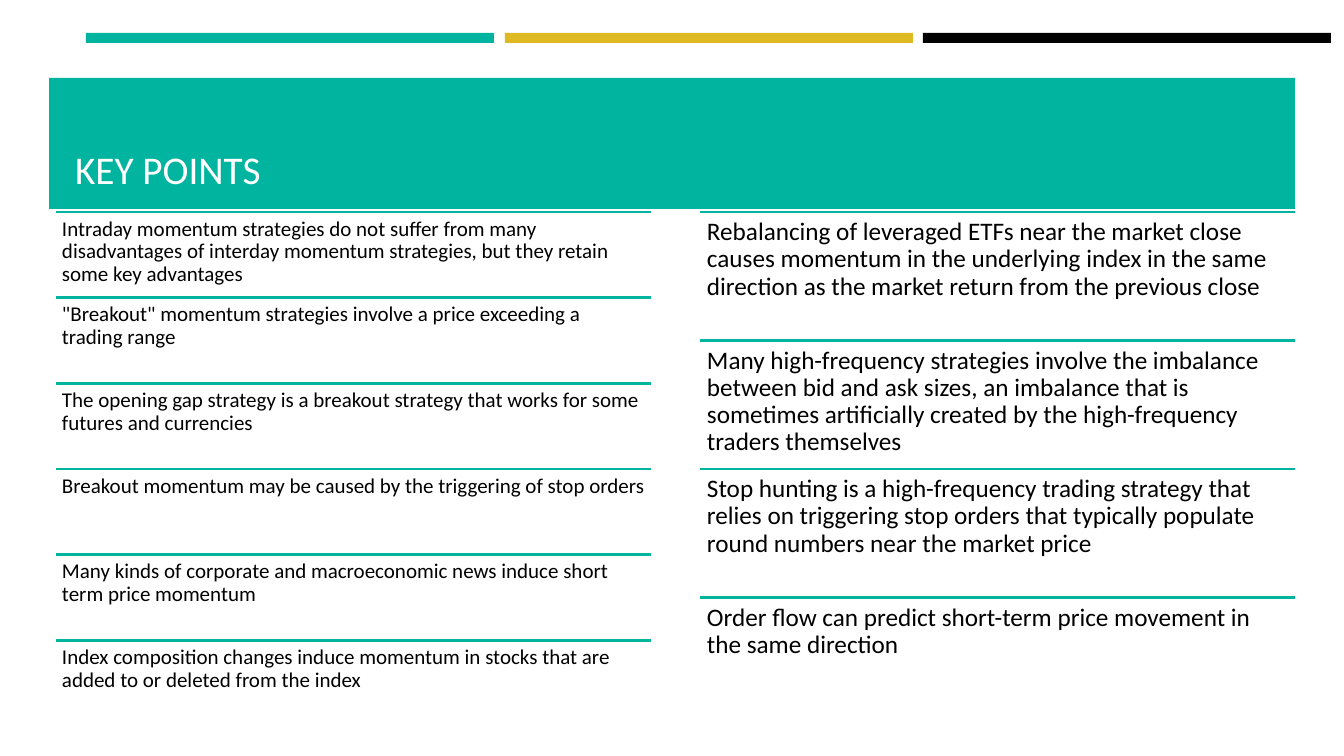
"""Build the Key Points slide with two ruled columns of statements."""
from dataclasses import dataclass

from lxml.etree import SubElement
from pptx import Presentation
from pptx.dml.color import RGBColor
from pptx.enum.shapes import MSO_CONNECTOR as Connector, MSO_SHAPE as Shape
from pptx.enum.text import MSO_ANCHOR as Anchor, MSO_AUTO_SIZE as AutoSize, PP_ALIGN as Align
from pptx.oxml.ns import qn
from pptx.util import Emu, Pt

TEAL = RGBColor(0x00, 0xB4, 0x9F)
GOLD = RGBColor(0xDE, 0xB9, 0x22)
BLACK = RGBColor(0x00, 0x00, 0x00)
WHITE = RGBColor(0xFF, 0xFF, 0xFF)
FONT = "Calibri"
EMU_PER_PIXEL = 914400 / 100.8
COLUMN_TOP, COLUMN_WIDTH, COLUMN_HEIGHT = 212, 595, 514


def px(length: float) -> Emu:
    """Convert pixels to EMU."""
    return Emu(round(length * EMU_PER_PIXEL))


@dataclass(frozen=True)
class Bar:
    """A plain filled rectangle."""
    left: int
    top: int
    width: int
    height: int
    color: RGBColor


@dataclass(frozen=True)
class Column:
    """Statements sharing the column height equally."""
    left: int
    size: int
    inset: int
    statements: tuple[str, ...]


BARS = (
    Bar(86, 33, 408, 10, TEAL),
    Bar(923, 33, 408, 10, BLACK),
    Bar(505, 33, 408, 10, GOLD),
    Bar(49, 78, 1246, 131, TEAL),
)
COLUMNS = (
    Column(56, 15, 6, (
        "Intraday momentum strategies do not suffer from many disadvantages of interday "
        "momentum strategies, but they retain some key advantages",
        '"Breakout" momentum strategies involve a price exceeding a trading range',
        "The opening gap strategy is a breakout strategy that works for some futures and currencies",
        "Breakout momentum may be caused by the triggering of stop orders",
        "Many kinds of corporate and macroeconomic news induce short term price momentum",
        "Index composition changes induce momentum in stocks that are added to or deleted "
        "from the index",
    )),
    Column(700, 18, 7, (
        "Rebalancing of leveraged ETFs near the market close causes momentum in the underlying "
        "index in the same direction as the market return from the previous close",
        "Many\u00a0high-frequency strategies involve the imbalance between bid and ask sizes, an "
        "imbalance that is sometimes artificially created by the high-frequency traders themselves",
        "Stop hunting is a high-frequency trading strategy that relies on triggering stop orders "
        "that typically populate round numbers near the market price",
        "Order flow can predict short-term price movement in the same direction",
    )),
)


def style_text(frame, size: int, color: RGBColor) -> None:
    """Apply the slide font to every run of a text frame."""
    for para in frame.paragraphs:
        para.alignment = Align.LEFT
        for span in para.runs:
            span.font.name = FONT
            span.font.size = Pt(size)
            span.font.color.rgb = color


def draw_bar(page, bar: Bar) -> None:
    """Draw one filled bar without outline."""
    shape = page.shapes.add_shape(
        Shape.RECTANGLE, px(bar.left), px(bar.top), px(bar.width), px(bar.height))
    shape.shadow.inherit = False
    shape.fill.solid()
    shape.fill.fore_color.rgb = bar.color
    shape.line.fill.background()


def draw_title(page, text: str) -> None:
    """Place the title in front of the teal band."""
    title = page.shapes.title
    title.left, title.top, title.width, title.height = px(65), px(89), px(1216), px(109)
    frame = title.text_frame
    frame.text = text
    frame.auto_size = AutoSize.NONE
    frame.vertical_anchor = Anchor.BOTTOM
    style_text(frame, 28, WHITE)
    frame.paragraphs[0].line_spacing = 0.9
    page.shapes[-1].element.addnext(title.element)


def draw_rule(page, left: int, top: float) -> None:
    """Draw the teal rule above a statement."""
    rule = page.shapes.add_connector(
        Connector.STRAIGHT, px(left), px(top), px(left + COLUMN_WIDTH), px(top))
    rule.line.color.rgb = TEAL
    rule.line.width = Pt(1.75)
    SubElement(rule.element.spPr, qn("a:effectLst"))


def draw_column(page, column: Column) -> None:
    """Draw the ruled statements of one column."""
    pitch = COLUMN_HEIGHT / len(column.statements)
    for index, statement in enumerate(column.statements):
        top = COLUMN_TOP + index * pitch
        draw_rule(page, column.left, top)
        box = page.shapes.add_textbox(px(column.left), px(top), px(COLUMN_WIDTH), px(pitch))
        frame = box.text_frame
        frame.word_wrap = True
        frame.margin_left = frame.margin_right = px(column.inset)
        frame.margin_top = frame.margin_bottom = px(column.inset)
        frame.text = statement
        frame.paragraphs[0].line_spacing = 0.9
        style_text(frame, column.size, BLACK)


def main() -> None:
    """Assemble and save the slide."""
    deck = Presentation()
    deck.slide_width, deck.slide_height = px(1344), px(756)
    page = deck.slides.add_slide(deck.slide_layouts[5])
    for bar in BARS:
        draw_bar(page, bar)
    draw_title(page, "KEY POINTS")
    for column in COLUMNS:
        draw_column(page, column)
    deck.save("out.pptx")


main()
